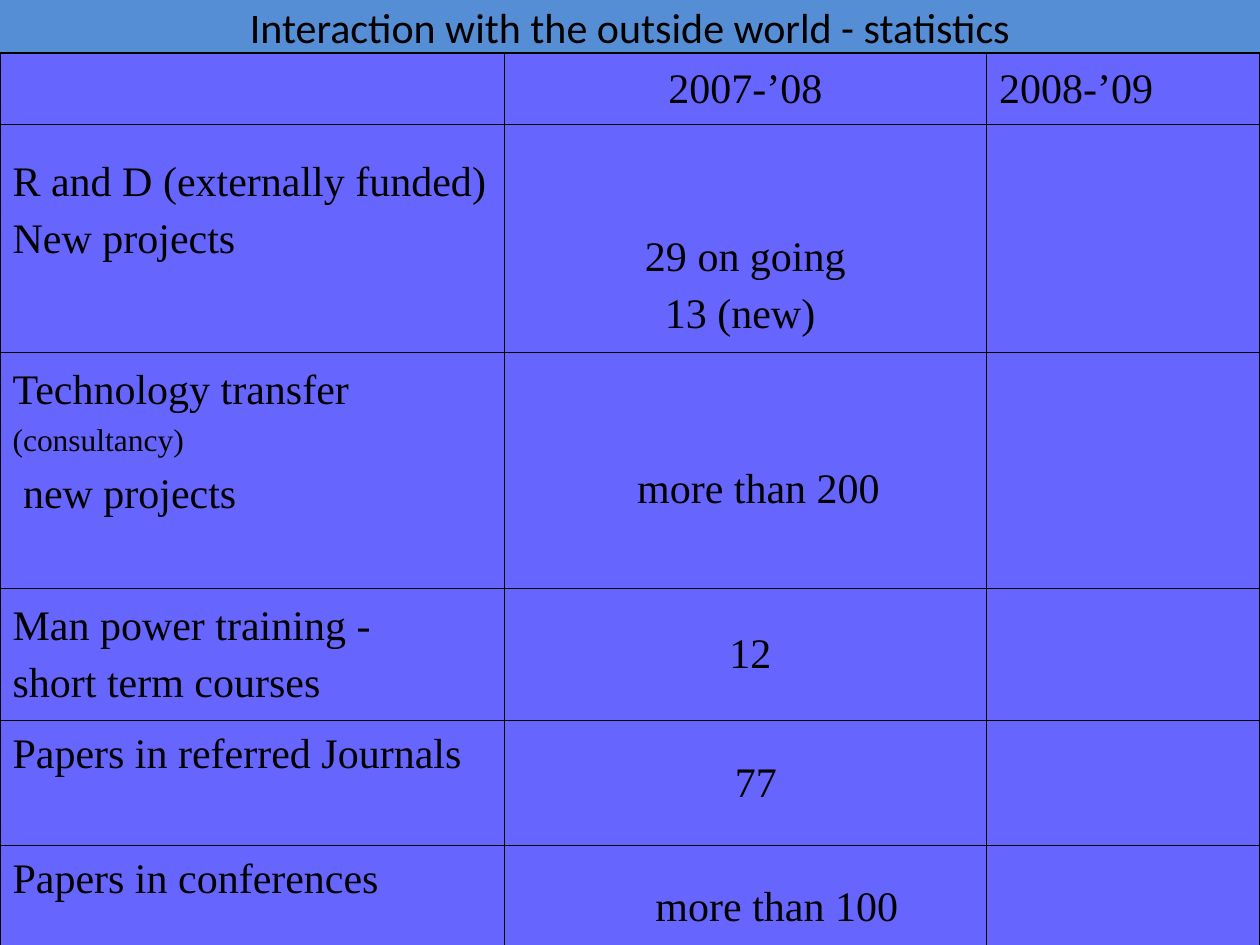
import pptx
import pptx.util
import pptx.dml.color
import pptx.enum.text
import pptx.oxml
import pptx.oxml.ns

Inches, Pt = pptx.util.Inches, pptx.util.Pt
ALIGN, ANCHOR = pptx.enum.text.PP_ALIGN, pptx.enum.text.MSO_ANCHOR

COLORS = {"banner": "558ED5", "cell": "6666FF", "ink": "000000"}
SLIDE_W, SLIDE_H = 10, 7.5
TITLE_H = 0.42
COLS = [4, 3.83, 2.17]
ROWS = [0.57, 1.81, 1.87, 1.05, 0.99, 0.99]
PAD_X, PAD_Y = 0.1, 0.05
OUTER, INNER = 1.08, 0.45
LINE = 0.45  # one text line with its spacing, in inches

# (row, column): paragraphs and extra margins; a paragraph is a string or (text, size) runs
CELLS = {
    (0, 1): (["2007-’08"], {}),
    (0, 2): (["2008-’09"], {}),
    (1, 0): (["R and D (externally funded)", "New projects"], {"bottom": LINE}),
    (1, 1): (["29 on going", "13 (new) "], {"top": 0.75}),
    (2, 0): ([[("Technology transfer ", 24), ("(consultancy)", 18), (" ", 24)],
              " new projects"], {"bottom": LINE}),
    (2, 1): (["more than 200"], {"left": 0.21, "top": 0.75, "bottom": LINE}),
    (3, 0): (["Man power training -", "short term courses"], {}),
    (3, 1): (["12"], {"left": 0.08}),
    (4, 0): (["Papers in referred Journals"], {"bottom": LINE}),
    (4, 1): (["77"], {"left": 0.17}),
    (5, 0): (["Papers in conferences"], {"bottom": LINE}),
    (5, 1): (["more than 100"], {"left": 0.5}),
}


def rgb(name):
    return pptx.dml.color.RGBColor.from_string(COLORS[name])


def paint(obj, color):
    obj.fill.solid()
    obj.fill.fore_color.rgb = rgb(color)


def write(tf, paragraphs, font="Times New Roman", size=24, color="ink",
          align=ALIGN.LEFT, before=6):
    for i, runs in enumerate(paragraphs):
        p = tf.paragraphs[0] if i == 0 else tf.add_paragraph()
        p.alignment = align
        p.space_before = Pt(before)
        for text, run_size in [(runs, size)] if isinstance(runs, str) else runs:
            r = p.add_run()
            r.text = text
            r.font.name, r.font.size = font, Pt(run_size)
            r.font.color.rgb = rgb(color)


def set_borders(cell, widths):
    """Draw the cell's sides; schema order puts the lines before the fill."""
    tc_pr = cell._tc.get_or_add_tcPr()
    for i, (side, width) in enumerate(widths.items()):
        tc_pr.insert(i, pptx.oxml.parse_xml(
            f'<a:ln{side} {pptx.oxml.ns.nsdecls("a")} w="{int(Pt(width))}"><a:solidFill>'
            f'<a:srgbClr val="{COLORS["ink"]}"/></a:solidFill></a:ln{side}>'))


def add_title(slide, left, top, width, height):
    sp = slide.shapes.title
    sp.left, sp.top, sp.width, sp.height = map(Inches, (left, top, width, height))
    paint(sp, "banner")
    tf = sp.text_frame
    tf.word_wrap = True
    tf.auto_size = pptx.enum.text.MSO_AUTO_SIZE.NONE
    tf.vertical_anchor = ANCHOR.MIDDLE
    write(tf, ["Interaction with the outside world - statistics"],
          font="Calibri", align=ALIGN.CENTER, before=0)


def add_statistics(slide, left, top, width, height):
    frame = slide.shapes.add_table(len(ROWS), len(COLS),
                                   *map(Inches, (left, top, width, height)))
    table = frame.table
    table.first_row = table.horz_banding = False
    for column, share in zip(table.columns, COLS):
        column.width = Inches(width * share / sum(COLS))
    for row, share in zip(table.rows, ROWS):
        row.height = Inches(height * share / sum(ROWS))
    last_row, last_col = len(ROWS) - 1, len(COLS) - 1
    for r in range(len(ROWS)):
        for c in range(len(COLS)):
            cell = table.cell(r, c)
            paint(cell, "cell")
            edges = {"L": c == 0, "R": c == last_col, "T": r == 0, "B": r == last_row}
            set_borders(cell, {side: OUTER if outer else INNER
                               for side, outer in edges.items()})
            paragraphs, extra = CELLS.get((r, c), ([], {}))
            cell.vertical_anchor = ANCHOR.MIDDLE
            cell.margin_left = Inches(PAD_X + extra.get("left", 0))
            cell.margin_right = Inches(PAD_X)
            cell.margin_top = Inches(PAD_Y + extra.get("top", 0))
            cell.margin_bottom = Inches(PAD_Y + extra.get("bottom", 0))
            write(cell.text_frame, paragraphs,
                  align=ALIGN.CENTER if c == 1 else ALIGN.LEFT)


def main():
    prs = pptx.Presentation()
    prs.slide_width, prs.slide_height = Inches(SLIDE_W), Inches(SLIDE_H)
    slide = prs.slides.add_slide(prs.slide_layouts[5])
    add_title(slide, 0, 0, SLIDE_W, TITLE_H)
    add_statistics(slide, 0, TITLE_H, SLIDE_W, sum(ROWS))
    prs.save("out.pptx")


if __name__ == "__main__":
    main()
